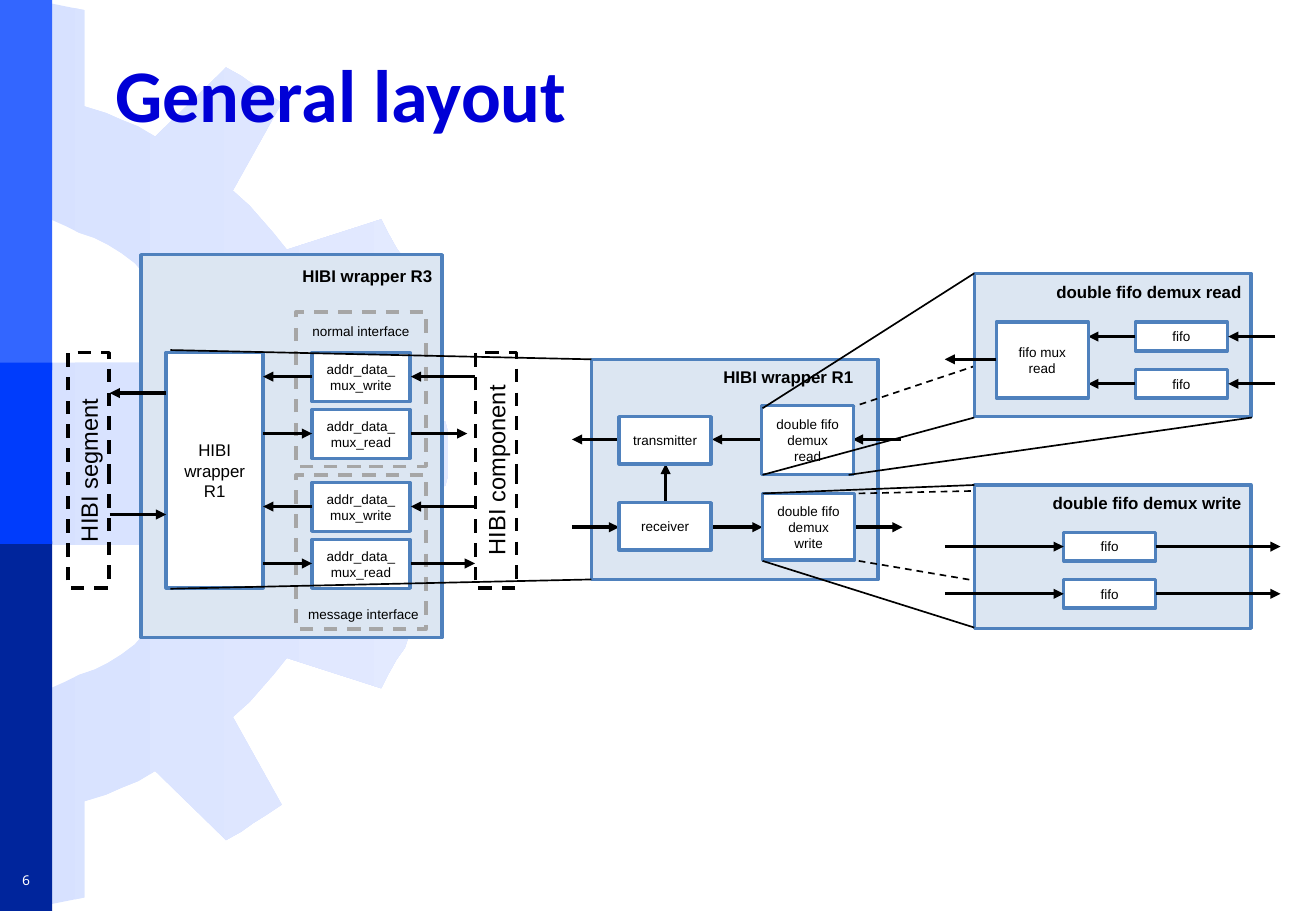
from pptx import Presentation
from pptx.dml.color import RGBColor
from pptx.enum.dml import MSO_LINE_DASH_STYLE as Dash
from pptx.enum.shapes import MSO_CONNECTOR as Connector, MSO_SHAPE as Shape
from pptx.enum.text import MSO_ANCHOR as Anchor, MSO_AUTO_SIZE as AutoSize, PP_ALIGN as Align
from pptx.oxml.ns import qn
from pptx.util import Pt
from lxml import etree

WHITE = RGBColor(0xFF, 0xFF, 0xFF)
BLACK = RGBColor(0, 0, 0)
GREY = RGBColor(0xA6, 0xA6, 0xA6)
TITLE_BLUE = RGBColor(0, 0, 0xD6)
BOX_EDGE = RGBColor(0x4F, 0x81, 0xBD)
PANEL_FILL = RGBColor(0xDC, 0xE6, 0xF2)
GEAR_FROM = RGBColor(0xD7, 0xE1, 0xFF)
GEAR_TO = RGBColor(0xE3, 0xEA, 0xFF)
BAND_TOP = RGBColor(0x33, 0x66, 0xFF)
BAND_MIDDLE = RGBColor(0, 0x3C, 0xFC)
BAND_BOTTOM = RGBColor(0, 0x25, 0x9C)

# Upper half of the gear outline; the lower half mirrors it
GEAR_HEIGHT = 538
GEAR_HALF = [
    (0, 215), (125, 215), (120, 206), (115, 199), (112, 190), (106, 182), (100, 174),
    (94, 168), (86, 163), (80, 156), (72, 150), (64, 145), (56, 141), (47, 138),
    (39, 134), (30, 130), (20, 130), (10, 127), (10, 0), (21, 1), (30, 2), (40, 4),
    (50, 6), (50, 63), (63, 67), (72, 71), (82, 75), (92, 81), (134, 40), (143, 45),
    (150, 50), (158, 55), (167, 61), (138, 113), (148, 122), (155, 130), (162, 138),
    (170, 148), (226, 130), (230, 138), (235, 147), (240, 154), (243, 163), (197, 197),
    (198, 210), (202, 220), (204, 230), (206, 240), (264, 250), (266, 258),
]

BLOCK_W = 54.5  # blocks inside wrapper R1 and the fifo panels
FIFO_H = 17


def write(frame, text, size=8, font="Arial", color=BLACK, bold=False,
          align=Align.CENTER, wrap=True, margin=7.2):
    frame.auto_size = AutoSize.NONE
    frame.word_wrap = wrap
    frame.vertical_anchor = Anchor.MIDDLE
    frame.margin_left = frame.margin_right = Pt(margin)
    paragraph = frame.paragraphs[0]
    paragraph.alignment = align
    run = paragraph.add_run()
    run.text = text
    run.font.size = Pt(size)
    run.font.name = font
    run.font.bold = bold
    run.font.color.rgb = color


def label(slide, text, x, y, w, h, **text_format):
    text_box = slide.shapes.add_textbox(Pt(x), Pt(y), Pt(w), Pt(h))
    write(text_box.text_frame, text, **text_format)


def box(slide, x, y, w, h, text=None, fill=WHITE, edge=BOX_EDGE, dashed=False,
        turn=0, **text_format):
    rect = slide.shapes.add_shape(Shape.RECTANGLE, Pt(x), Pt(y), Pt(w), Pt(h))
    rect.shadow.inherit = False
    rect.rotation = turn
    if fill is None:
        rect.fill.background()
    else:
        rect.fill.solid()
        rect.fill.fore_color.rgb = fill
    if edge is None:
        rect.line.fill.background()
    else:
        rect.line.color.rgb = edge
        rect.line.width = Pt(2)
    if dashed:
        rect.line.dash_style = Dash.DASH
    if text:
        write(rect.text_frame, text, **text_format)


def panel(slide, title, x, y, w, h, title_h=21, title_inset=0):
    box(slide, x, y, w, h, fill=PANEL_FILL)
    label(slide, title, x, y, w - title_inset, title_h, size=10, bold=True,
          align=Align.RIGHT, margin=5.8)


def line(slide, x1, y1, x2, y2, width=1, dashed=False):
    connector = slide.shapes.add_connector(
        Connector.STRAIGHT, Pt(x1), Pt(y1), Pt(x2), Pt(y2))
    connector.line.color.rgb = BLACK
    connector.line.width = Pt(width)
    if dashed:
        connector.line.dash_style = Dash.DASH
    etree.SubElement(connector._element.spPr, qn("a:effectLst"))
    return connector


def arrow(slide, x1, y1, x2, y2):
    shaft = line(slide, x1, y1, x2, y2, width=2)
    etree.SubElement(shaft.line._get_or_add_ln(), qn("a:tailEnd"), type="triangle")


def flow(slide, y, *spans):
    for start, end in spans:
        arrow(slide, start, y, end, y)


def backdrop(slide):
    mirrored = [(x, GEAR_HEIGHT - y) for x, y in reversed(GEAR_HALF)]
    outline = [(Pt(x), Pt(y)) for x, y in GEAR_HALF + mirrored]
    builder = slide.shapes.build_freeform(*outline[0])
    builder.add_line_segments(outline[1:], close=True)
    gear = builder.convert_to_shape()
    gear.shadow.inherit = False
    gear.line.fill.background()
    gear.fill.gradient()
    gear.fill.gradient_angle = 0
    for stop, color in zip(gear.fill.gradient_stops, (GEAR_FROM, GEAR_TO)):
        stop.color.rgb = color
    for y, h, color in ((0, 219.5, BAND_TOP), (321, 219, BAND_BOTTOM),
                        (215, 107.5, BAND_MIDDLE)):
        box(slide, 0, y, 31, h, fill=color, edge=None)


def wrapper_r3(slide):
    panel(slide, "HIBI wrapper R3", 83.5, 151, 178.5, 227, title_h=25)
    box(slide, 98.5, 209, 57.5, 139.5, "HIBI wrapper R1", size=10)
    # Two interfaces: first block top, frame top, name, name left and top, end of read arrow
    for top, frame_top, name, name_left, name_top, read_end in (
            (209, 185, "normal interface", 175.5, 185, 277),
            (286, 281.5, "message interface", 177, 352.5, 281.5)):
        for offset, block in ((0, "addr_data_mux_write"), (33.75, "addr_data_mux_read")):
            box(slide, 185, top + offset, 58, 29, block)
        box(slide, 175.5, frame_top, 77, 91.5, fill=None, edge=GREY, dashed=True)
        label(slide, name, name_left, name_top, 77, 23, wrap=False)
        flow(slide, top + 14.25, (185, 156), (281.5, 243.5))
        flow(slide, top + 48, (156, 185), (243.5, read_end))
    # Neighbours on both sides
    flow(slide, 233, (98.5, 65))
    flow(slide, 305, (65, 98.5))
    for name, center_x in (("HIBI segment", 52.5), ("HIBI component", 294)):
        box(slide, center_x - 69.75, 266.5, 139.5, 24.5, name, fill=None, edge=BLACK,
            dashed=True, turn=270, size=14, wrap=False)


def wrapper_r1(slide):
    flow(slide, 260.5, (367, 339), (451.5, 422), (534, 505.5))
    flow(slide, 312.5, (339, 367), (422, 452), (507, 535))
    arrow(slide, 394.5, 298, 394.5, 275)
    for name, x, y, h in (("transmitter", 367, 247, 28),
                          ("receiver", 367, 298, 28),
                          ("double fifo demux read", 451.5, 240.5, 41),
                          ("double fifo demux write", 452, 292.5, 39.5)):
        box(slide, x, y, BLOCK_W, h, name)


def fifo_panels(slide):
    panel(slide, "double fifo demux read", 577.5, 162, 164, 85, title_h=22)
    for y in (191, 219):
        box(slide, 673, y, BLOCK_W, FIFO_H, "fifo")
        flow(slide, y + FIFO_H / 2, (673, 645), (756, 728))
    box(slide, 590.5, 191, BLOCK_W, 45, "fifo mux read")
    flow(slide, 213, (590.5, 560))

    panel(slide, "double fifo demux write", 577.5, 287.5, 164, 85)
    for y in (315.5, 343.5):
        box(slide, 630.5, y, BLOCK_W, FIFO_H, "fifo")
        flow(slide, y + FIFO_H / 2, (560, 630.5), (685, 759))


def main():
    deck = Presentation()
    deck.slide_width, deck.slide_height = Pt(780), Pt(540)
    slide = deck.slides.add_slide(deck.slide_layouts[5])
    backdrop(slide)

    # Title, brought in front of the gear, and slide number
    title = slide.shapes.title
    slide.shapes._spTree.append(title._element)
    title.left, title.top, title.width, title.height = Pt(61), Pt(21), Pt(676), Pt(68)
    write(title.text_frame, "General layout", size=44, font="Calibri",
          color=TITLE_BLUE, bold=True, align=Align.LEFT)
    label(slide, "6", 0, 512, 31, 19, font="Noto Sans Mono", color=WHITE, wrap=False)

    # Zoom lines that pass behind the fifo panels
    panel(slide, "HIBI wrapper R1", 350.5, 213, 170, 130.5, title_inset=9)
    for ends in ((503, 242, 742, 162), (509, 292.5, 742, 287.5), (509, 332.5, 742, 372)):
        line(slide, *ends, dashed=True)

    wrapper_r3(slide)
    wrapper_r1(slide)
    fifo_panels(slide)

    # Zoom lines in front
    for ends in ((101, 207.5, 350.5, 213), (101, 349, 350.5, 343.5),
                 (452, 242, 577.5, 162), (452, 281.5, 577.5, 247.5),
                 (503, 281.5, 742, 247.5), (452, 292.5, 577.5, 287.5),
                 (452, 332.5, 577.5, 372)):
        line(slide, *ends)

    deck.save("out.pptx")


main()
